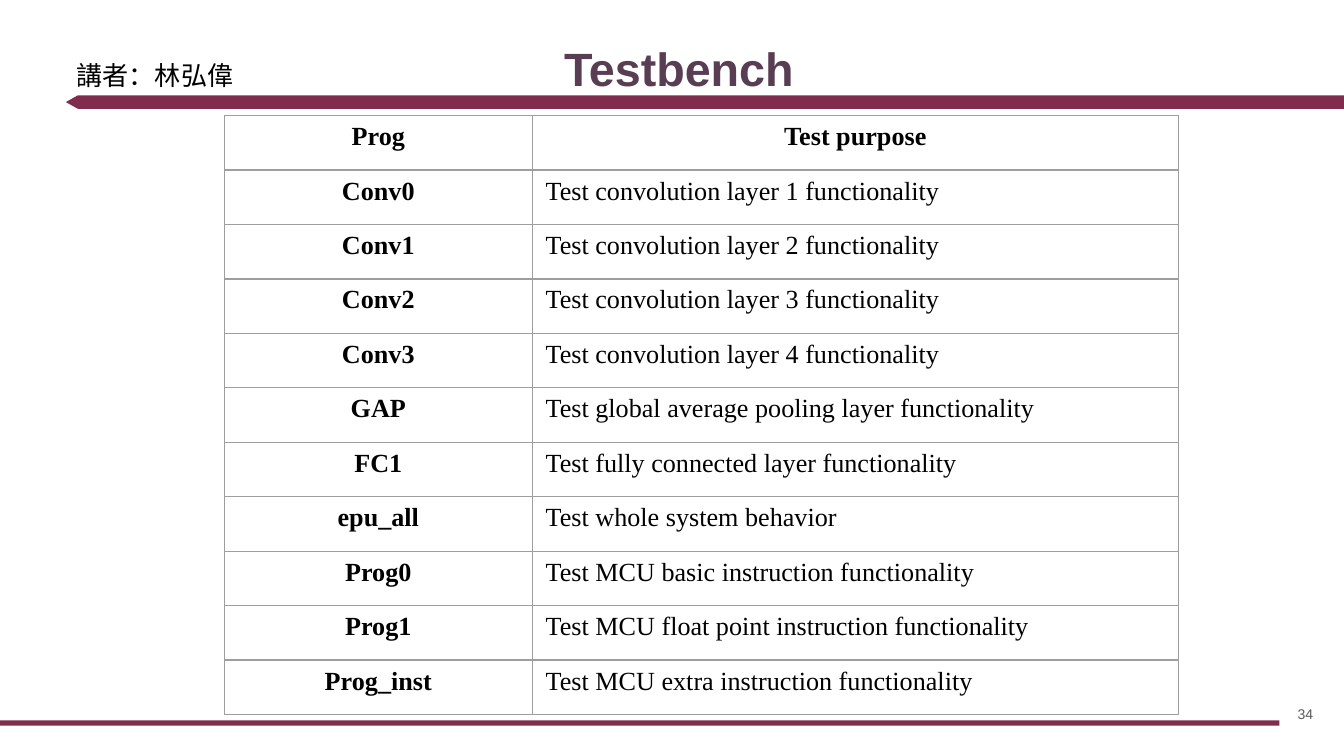
from lxml.etree import SubElement
from pptx import Presentation
from pptx.dml.color import RGBColor
from pptx.enum.shapes import MSO_SHAPE
from pptx.enum.text import MSO_ANCHOR, PP_ALIGN
from pptx.oxml.ns import qn
from pptx.util import Inches, Pt

COLORS = {
    "bar": "802C4C",
    "title": "593D53",
    "number": "595959",
    "text": "000000",
    "border": "9E9E9E",
}

TESTS = [
    ("Prog", "Test purpose"),
    *[(f"Conv{i}", f"Test convolution layer {i + 1} functionality") for i in range(4)],
    ("GAP", "Test global average pooling layer functionality"),
    ("FC1", "Test fully connected layer functionality"),
    ("epu_all", "Test whole system behavior"),
    ("Prog0", "Test MCU basic instruction functionality"),
    ("Prog1", "Test MCU float point instruction functionality"),
    ("Prog_inst", "Test MCU extra instruction functionality"),
]


def write_text(frame, text, size=14, font="Arial", color="text", bold=False, align=PP_ALIGN.LEFT):
    paragraph = frame.paragraphs[0]
    paragraph.alignment = align
    run = paragraph.add_run()
    run.text = text
    run.font.size = Pt(size)
    run.font.name = font
    run.font.bold = bold
    run.font.color.rgb = RGBColor.from_string(COLORS[color])


class SlideBuilder:
    """Draws styled elements on the current slide."""

    def __init__(self, slide):
        self.slide = slide

    def bar(self, kind, left, top, width, height):
        shape = self.slide.shapes.add_shape(
            kind, Inches(left), Inches(top), Inches(width), Inches(height)
        )
        shape.shadow.inherit = False
        shape.fill.solid()
        shape.fill.fore_color.rgb = RGBColor.from_string(COLORS["bar"])
        shape.line.fill.background()
        return shape

    def text(self, text, left, top, width, height, inset=0.1, anchor=MSO_ANCHOR.TOP, **style):
        box = self.slide.shapes.add_textbox(
            Inches(left), Inches(top), Inches(width), Inches(height)
        )
        frame = box.text_frame
        frame.word_wrap = True
        frame.vertical_anchor = anchor
        frame.margin_left = frame.margin_right = Inches(0.1)
        frame.margin_top = frame.margin_bottom = Inches(inset)
        write_text(frame, text, **style)

    def cell_borders(self, cell):
        properties = cell._tc.get_or_add_tcPr()
        for side in ("a:lnL", "a:lnR", "a:lnT", "a:lnB"):
            line = SubElement(properties, qn(side), w=str(Pt(0.75)))
            fill = SubElement(line, qn("a:solidFill"))
            SubElement(fill, qn("a:srgbClr"), val=COLORS["border"])

    def table(self, rows, left, top, widths, height):
        table = self.slide.shapes.add_table(
            len(rows), len(widths), Inches(left), Inches(top),
            Inches(sum(widths)), Inches(height)
        ).table
        table.first_row = False
        table.horz_banding = False
        for column, width in zip(table.columns, widths):
            column.width = Inches(width)
        for row_index, row in enumerate(rows):
            for column_index, text in enumerate(row):
                heading = row_index == 0 or column_index == 0
                cell = table.cell(row_index, column_index)
                self.cell_borders(cell)
                cell.fill.background()
                write_text(
                    cell.text_frame, text, font="Times New Roman", bold=heading,
                    align=PP_ALIGN.CENTER if heading else PP_ALIGN.LEFT,
                )


def main():
    presentation = Presentation()
    presentation.slide_width = Inches(10)
    presentation.slide_height = Inches(10) * 9 // 16
    builder = SlideBuilder(presentation.slides.add_slide(presentation.slide_layouts[6]))

    header_bar = builder.bar(MSO_SHAPE.PENTAGON, 0.49, 0.71, 9.51, 0.1)
    header_bar.adjustments[0] = 0.89
    header_bar._element.spPr.xfrm.set("flipH", "1")
    builder.bar(MSO_SHAPE.RECTANGLE, -0.01, 5.36, 9.53, 0.04)

    builder.text("Testbench", 0.39, 0.18, 9.32, 0.63, anchor=MSO_ANCHOR.BOTTOM,
                 size=25, color="title", bold=True, align=PP_ALIGN.CENTER)
    builder.text("34", 9.27, 5.1, 0.6, 0.43, anchor=MSO_ANCHOR.MIDDLE,
                 size=7.5, color="number", align=PP_ALIGN.RIGHT)
    builder.table(TESTS, 1.67, 0.86, (2.29, 4.81), 4.46)
    builder.text("講者：林弘偉", 0.47, 0.39, 1.76, 0.57, inset=0.05)

    presentation.save("out.pptx")


if __name__ == "__main__":
    main()
